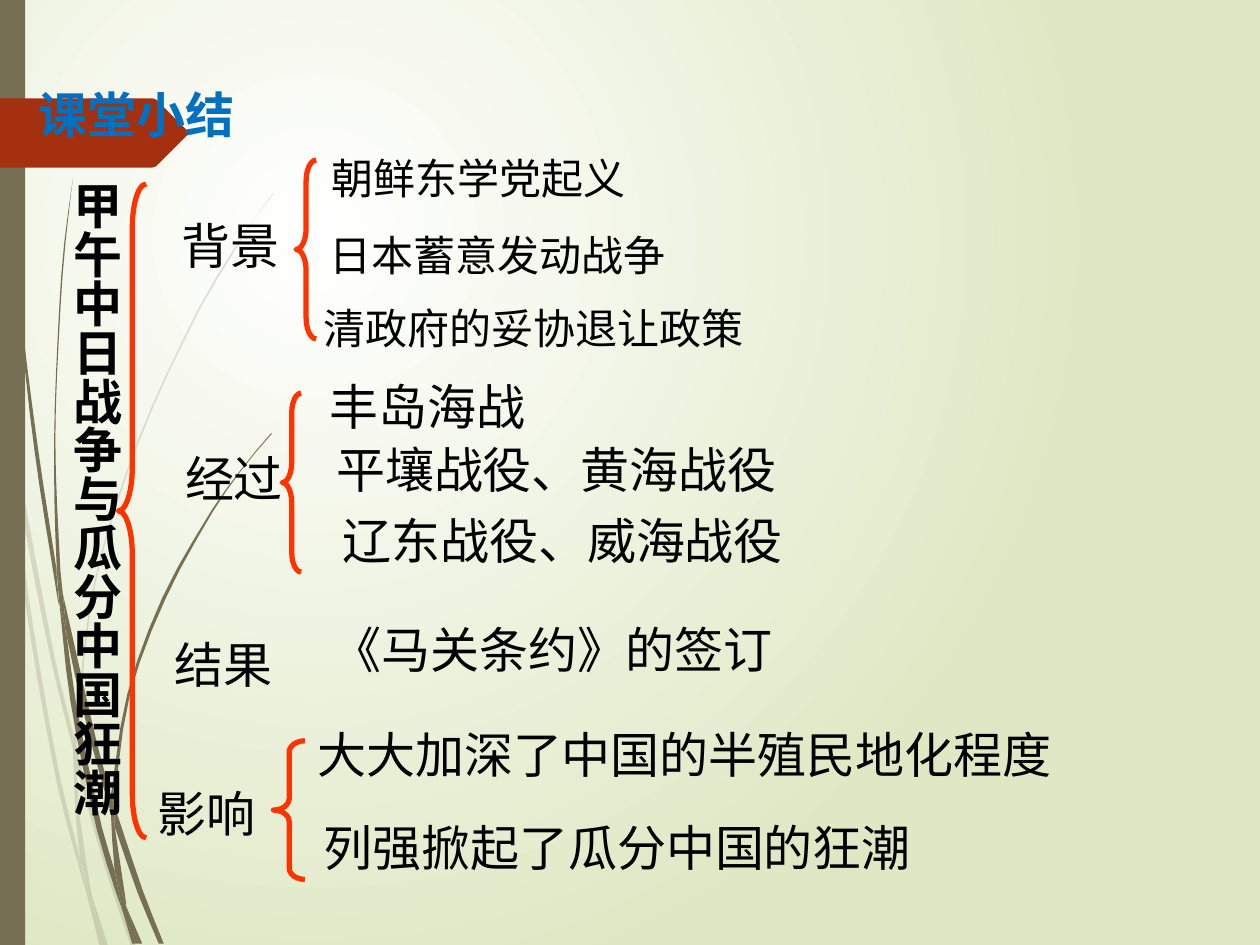
from math import ceil, dist
from typing import NamedTuple

from lxml.etree import SubElement
from pptx import Presentation
from pptx.dml.color import RGBColor
from pptx.enum.shapes import MSO_SHAPE as Preset
from pptx.enum.text import PP_ALIGN as Align
from pptx.oxml.ns import qn
from pptx.util import Inches, Pt

FONT = "Noto Sans CJK SC"
WHITE = RGBColor(0xFF, 0xFF, 0xFF)
PALE_GREEN = RGBColor(0xDF, 0xE8, 0xC4)
OLIVE = RGBColor(0x76, 0x6F, 0x54)
RUST = RGBColor(0xA5, 0x30, 0x10)
BLUE = RGBColor(0x00, 0x70, 0xC0)
BLACK = RGBColor(0, 0, 0)
ORANGE_RED = RGBColor(0xFF, 0x33, 0x00)

Point = tuple[float, float]


class Blade(NamedTuple):
    """A grass blade, outlined by two smooth edges, one there and one back."""
    out: list[Point]
    back: list[Point]


class Brace(NamedTuple):
    left: float
    top: float
    width: float
    height: float
    curl: float


class Entry(NamedTuple):
    text: str
    left: float
    top: float
    width: float
    size: int = 28


FAINT_BLADES = [
    Blade([(0.08, 3.5), (0.06, 3.22), (0, 2.82)],
          [(0, 2.99), (0.07, 3.44), (0.08, 3.5)]),
    Blade([(0.1, 3.45), (0.12, 3.76), (0.4, 5.22), (0.59, 5.99)],
          [(0.59, 5.86), (0.43, 5.2), (0.1, 3.45)]),
    Blade([(0.61, 6.1), (0.85, 6.94), (1.04, 7.51)],
          [(1.08, 7.51), (0.88, 6.92), (0.64, 6.07), (0.61, 5.96)]),
    Blade([(0.73, 7.11), (0.83, 7.51)], [(0.86, 7.51), (0.73, 7.11)]),
    Blade([(0.08, 3.5), (0.19, 4.7), (0.45, 6.21), (0.64, 6.93), (0.7, 7.14)],
          [(0.69, 7.07), (0.64, 6.83), (0.48, 6.19), (0.22, 4.69), (0.12, 3.76), (0.08, 3.5)]),
    Blade([(0.58, 5.99), (0.6, 6.46), (0.64, 6.83), (0.67, 6.92), (0.73, 7.11)],
          [(0.72, 7.06), (0.63, 6.46), (0.61, 6.1), (0.61, 6.08), (0.58, 5.99)]),
    Blade([(0.61, 5.96), (0.61, 5.84), (0.76, 4.62), (1.11, 3.49), (1.59, 2.45),
           (1.87, 1.98), (2.01, 1.75), (2.17, 1.54)],
          [(2.17, 1.53), (2.01, 1.75), (1.86, 1.97), (1.58, 2.44), (1.1, 3.48),
           (0.75, 4.61), (0.59, 5.84), (0.59, 5.86)]),
    Blade([(0.7, 7.14), (0.79, 7.51)], [(0.82, 7.51), (0.7, 7.14)]),
    Blade([(0.59, 5.86), (0.58, 5.99), (0.61, 6.08)],
          [(0.61, 6.1), (0.61, 5.96), (0.59, 5.86)]),
    Blade([(0.65, 6.83), (0.69, 7.07), (0.7, 7.14), (0.82, 7.51)],
          [(0.83, 7.51), (0.73, 7.11), (0.67, 6.92), (0.65, 6.83)]),
]
DARK_BLADES = [
    Blade([(0.02, 0), (0.03, 0.48), (0.05, 1.1), (0.14, 2.33), (0.27, 3.55),
           (0.46, 4.77), (0.47, 4.81)],
          [(0.45, 4.57), (0.45, 4.53), (0.3, 3.55), (0.15, 2.32), (0.06, 1.09),
           (0.04, 0.48), (0.03, 0)]),
    Blade([(0.5, 4.72), (0.53, 5.05), (0.73, 5.92), (0.88, 6.45)],
          [(0.88, 6.33), (0.88, 6.31), (0.77, 5.9), (0.5, 4.72)]),
    Blade([(0.91, 6.56), (1.09, 7.08), (1.26, 7.49)],
          [(1.3, 7.49), (1.13, 7.06), (0.94, 6.49), (0.91, 6.41)]),
    Blade([(0.47, 4.77), (0.56, 5.57), (0.77, 6.59), (0.92, 7.08), (0.97, 7.22)],
          [(0.96, 7.17), (0.91, 6.91), (0.81, 6.57), (0.6, 5.56), (0.53, 5.05), (0.47, 4.77)]),
    Blade([(0.5, 4.72), (0.48, 4.53), (0.44, 3.49), (0.48, 2.45), (0.52, 1.93), (0.58, 1.41)],
          [(0.58, 1.41), (0.51, 1.93), (0.47, 2.45), (0.43, 3.49), (0.45, 4.49), (0.49, 4.72)]),
    Blade([(1, 7.19), (1.1, 7.49)], [(1.13, 7.49), (1, 7.19)]),
    Blade([(0.45, 4.49), (0.45, 4.53), (0.47, 4.77), (0.53, 5.05)],
          [(0.5, 4.72), (0.49, 4.72), (0.45, 4.49)]),
    Blade([(0.91, 6.41), (0.91, 6.33), (1.03, 5.52), (1.31, 4.76), (1.69, 4.06),
           (1.91, 3.74), (2.03, 3.59), (2.16, 3.44)],
          [(2.15, 3.44), (2.03, 3.58), (1.91, 3.73), (1.68, 4.05), (1.29, 4.74),
           (1.01, 5.51), (0.88, 6.31)]),
    Blade([(0.97, 7.22), (1.05, 7.49)], [(1.08, 7.49), (0.97, 7.22)]),
    Blade([(0.88, 6.45), (0.91, 6.91), (0.96, 7.06), (1, 7.19)],
          [(1, 7.16), (0.91, 6.56), (0.9, 6.51), (0.88, 6.45)]),
    Blade([(0.88, 6.31), (0.88, 6.45), (0.9, 6.51), (0.91, 6.56)],
          [(0.91, 6.41), (0.88, 6.31)]),
    Blade([(0.91, 6.91), (0.96, 7.17), (0.97, 7.22), (1.08, 7.49)],
          [(1.1, 7.49), (1, 7.19), (0.96, 7.06), (0.91, 6.91)]),
]
BADGE = [(0, 0.78), (1.21, 0.78), (1.24, 0.79), (1.49, 1.04), (1.5, 1.06),
         (1.49, 1.07), (1.24, 1.32), (1.21, 1.33), (0, 1.33)]

BRACES = [
    Brace(0.94, 1.46, 0.22, 5.19, 1.58),
    Brace(2.35, 1.27, 0.16, 1.42, 1.04),
    Brace(2.24, 3.12, 0.15, 1.42, 1.05),
    Brace(2.17, 5.88, 0.25, 1.1, 0.36),
]
ENTRIES = [
    Entry("背景", 1.34, 1.66, 1.01),
    Entry("朝鲜东学党起义", 2.53, 1.16, 2.6, 24),
    Entry("日本蓄意发动战争", 2.52, 1.77, 3.77, 24),
    Entry("清政府的妥协退让政策", 2.47, 2.35, 3.62, 24),
    Entry("经过", 1.37, 3.51, 1.08),
    Entry("丰岛海战", 2.52, 2.94, 1.82),
    Entry("平壤战役、黄海战役", 2.57, 3.44, 4.93),
    Entry("辽东战役、威海战役", 2.62, 4, 3.74),
    Entry("结果", 1.29, 4.99, 1.01),
    Entry("《马关条约》的签订", 2.54, 4.87, 3.93),
    Entry("影响", 1.15, 6.17, 1.01),
    Entry("大大加深了中国的半殖民地化程度", 2.42, 5.7, 6.19),
    Entry("列强掀起了瓜分中国的狂潮", 2.47, 6.44, 6.19),
]


def smooth(knots: list[Point]) -> list[Point]:
    """Run a cubic curve through the knots, with about three steps to the inch."""
    def heading(i: int) -> Point:
        before, after = knots[max(i - 1, 0)], knots[min(i + 1, len(knots) - 1)]
        span = dist(before, after) or 1
        return (after[0] - before[0]) / span, (after[1] - before[1]) / span

    curve = [knots[0]]
    for i, (start, end) in enumerate(zip(knots, knots[1:])):
        reach = dist(start, end) / 3
        steps = ceil(reach * 9) if len(knots) > 2 else 1
        leave, arrive = heading(i), heading(i + 1)
        for t in (n / steps for n in range(1, steps + 1)):
            u = 1 - t
            curve.append(tuple(
                u**3 * a + 3 * u * u * t * (a + reach * p) + 3 * u * t * t * (b - reach * q) + t**3 * b
                for a, b, p, q in zip(start, end, leave, arrive)))
    return curve


def paint(shape, color: RGBColor, opacity: int = 100) -> None:
    shape.shadow.inherit = False
    shape.fill.solid()
    shape.fill.fore_color.rgb = color
    shape.line.fill.background()
    if opacity < 100:
        tint = shape.element.spPr.find(".//" + qn("a:srgbClr"))
        SubElement(tint, qn("a:alpha"), val=str(opacity * 1000))


def add_outline(slide, points: list[Point], color: RGBColor, opacity: int = 100) -> None:
    start, *rest = [(Inches(x), Inches(y)) for x, y in points]
    builder = slide.shapes.build_freeform(*start, scale=1.0)
    builder.add_line_segments(rest, close=True)
    paint(builder.convert_to_shape(), color, opacity)


def add_brace(slide, brace: Brace) -> None:
    shape = slide.shapes.add_shape(Preset.LEFT_BRACE, *map(Inches, brace[:4]))
    shape.shadow.inherit = False
    shape.adjustments[0] = brace.curl
    shape.fill.background()
    shape.line.color.rgb = ORANGE_RED
    shape.line.width = Pt(3)


def add_text(slide, text: str, left: float, top: float, width: float, height: float, *,
             size: int = 28, color: RGBColor = BLACK, bold: bool = False,
             align: Align = Align.LEFT, vertical: bool = False) -> None:
    frame = slide.shapes.add_textbox(*map(Inches, (left, top, width, height))).text_frame
    frame.word_wrap = True
    if vertical:
        frame._txBody.bodyPr.set("vert", "eaVert")
    paragraph = frame.paragraphs[0]
    paragraph.alignment = align
    run = paragraph.add_run()
    run.text = text
    run.font.size, run.font.bold, run.font.name = Pt(size), bold, FONT
    run.font.color.rgb = color
    SubElement(run.font._element, qn("a:ea"), typeface=FONT)


def set_background(slide) -> None:
    fill = slide.background.fill
    fill.gradient()
    for stop, color in zip(fill.gradient_stops, (WHITE, PALE_GREEN)):
        stop.color.rgb = color
    gradient = slide.element.find(".//" + qn("a:gradFill"))
    gradient.remove(gradient.find(qn("a:lin")))
    glow = SubElement(gradient, qn("a:path"), path="circle")
    SubElement(glow, qn("a:fillToRect"), l="50000", t="50000", r="100000", b="100000")


def main() -> None:
    deck = Presentation()
    deck.slide_width, deck.slide_height = Inches(10), Inches(7.5)
    slide = deck.slides.add_slide(deck.slide_layouts[6])
    set_background(slide)
    for blades, opacity in ((FAINT_BLADES, 20), (DARK_BLADES, 100)):
        for blade in blades:
            add_outline(slide, smooth(blade.out) + smooth(blade.back), OLIVE, opacity)
    side_band = slide.shapes.add_shape(Preset.RECTANGLE, 0, 0, Inches(0.2), Inches(7.5))
    paint(side_band, OLIVE)
    add_outline(slide, BADGE, RUST)
    add_text(slide, "课堂小结", 0.15, 0.62, 1.87, 0.57, color=BLUE, bold=True, align=Align.CENTER)
    add_text(slide, "甲午中日战争与瓜分中国狂潮", 0.38, 1.34, 0.67, 5.32,
             bold=True, align=Align.CENTER, vertical=True)
    for brace in BRACES:
        add_brace(slide, brace)
    for entry in ENTRIES:
        height = 0.57 if entry.size == 28 else 0.5
        add_text(slide, *entry[:4], height, size=entry.size)
    deck.save("out.pptx")


if __name__ == "__main__":
    main()
